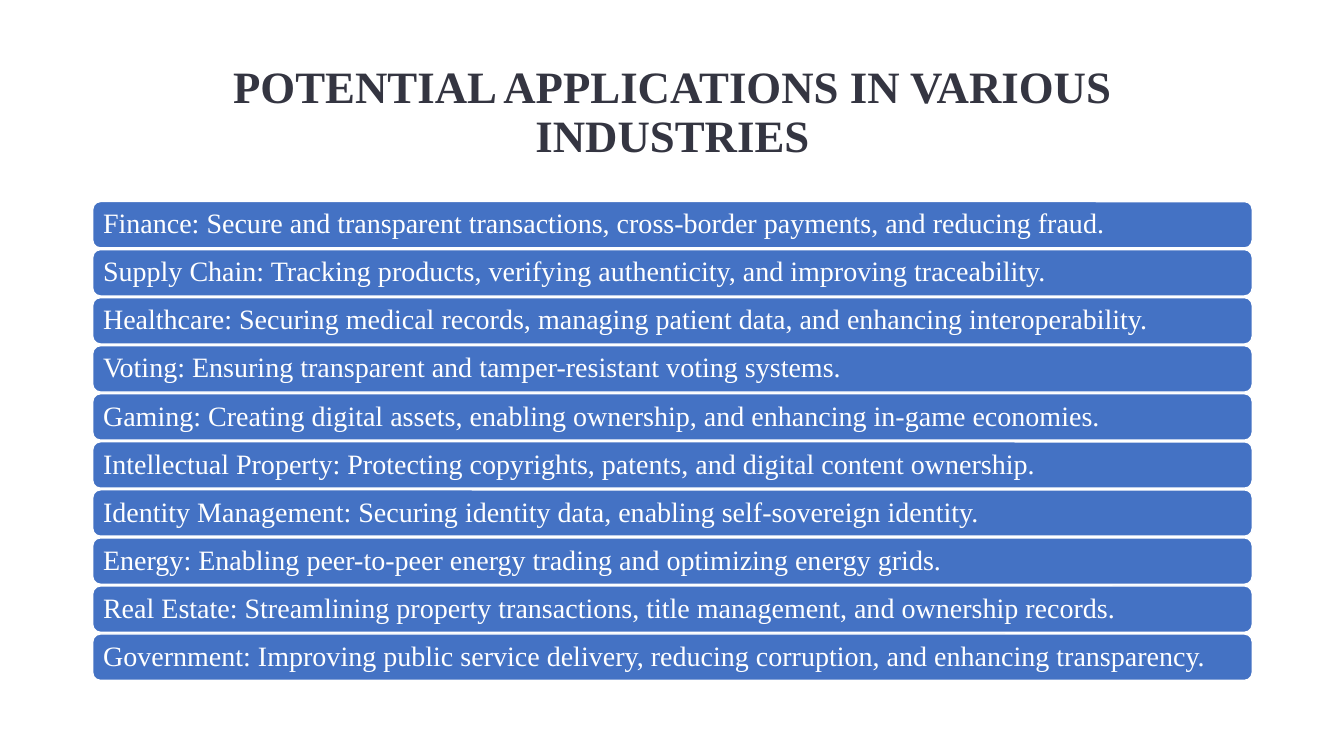
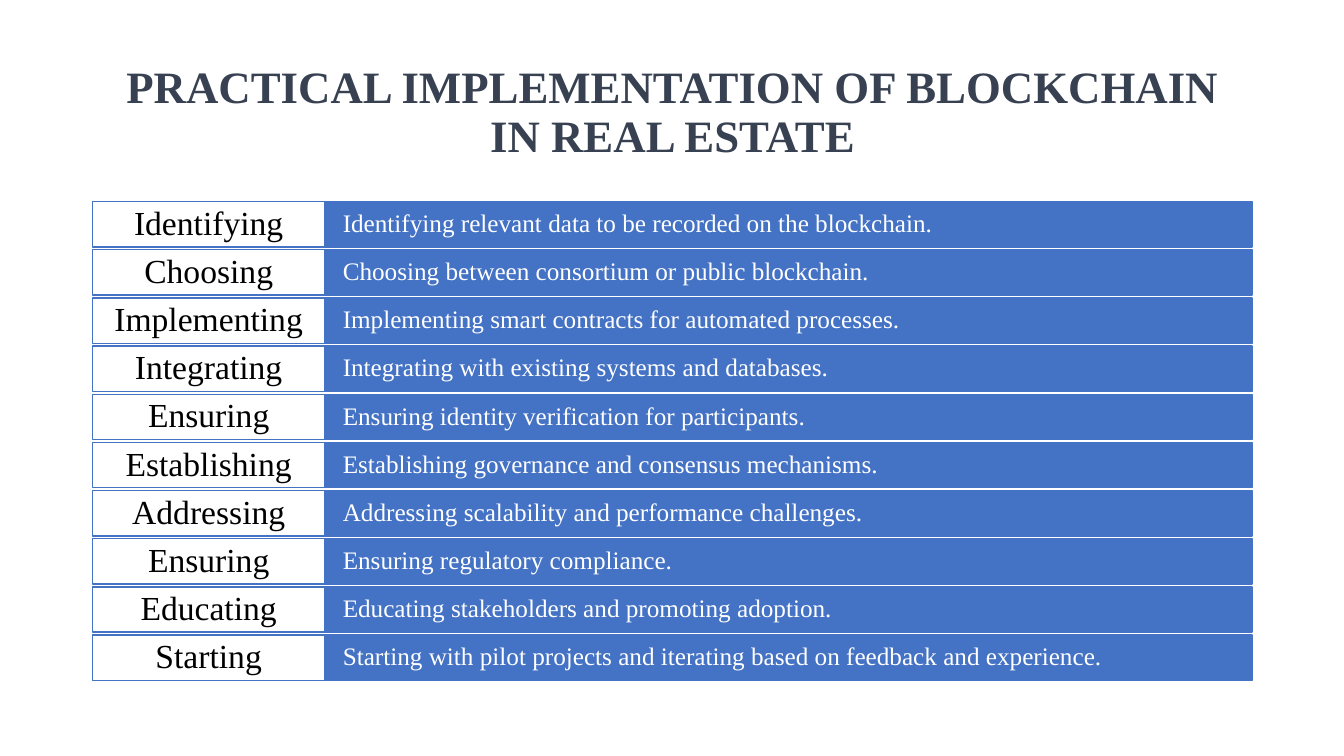
from dataclasses import dataclass
from typing import Iterator

from pptx import Presentation
from pptx.dml.color import RGBColor
from pptx.enum.shapes import MSO_SHAPE as Preset
from pptx.enum.text import MSO_ANCHOR as Anchor, MSO_AUTO_SIZE as AutoSize, PP_ALIGN as Align
from pptx.slide import Slide
from pptx.text.text import TextFrame
from pptx.util import Inches, Pt

# Shared look
BLUE = RGBColor(0x44, 0x72, 0xC4)
WHITE = RGBColor(0xFF, 0xFF, 0xFF)
BLACK = RGBColor(0x00, 0x00, 0x00)
CHARCOAL = RGBColor(0x34, 0x35, 0x41)
SLATE = RGBColor(0x37, 0x41, 0x51)
FONT = "Times New Roman"
TITLE_ONLY = 5

# Shared grid, in inches
LEFT, WIDTH = 0.92, 11.5
ROWS_TOP, ROWS_BOTTOM = 2.0, 6.75
LABEL_WIDTH = 2.3

APPLICATIONS_TITLE = "POTENTIAL APPLICATIONS IN VARIOUS INDUSTRIES"
APPLICATIONS = [
    "Finance: Secure and transparent transactions, cross-border payments, and reducing fraud.",
    "Supply Chain: Tracking products, verifying authenticity, and improving traceability.",
    "Healthcare: Securing medical records, managing patient data, and enhancing interoperability.",
    "Voting: Ensuring transparent and tamper-resistant voting systems.",
    "Gaming: Creating digital assets, enabling ownership, and enhancing in-game economies.",
    "Intellectual Property: Protecting copyrights, patents, and digital content ownership.",
    "Identity Management: Securing identity data, enabling self-sovereign identity.",
    "Energy: Enabling peer-to-peer energy trading and optimizing energy grids.",
    "Real Estate: Streamlining property transactions, title management, and ownership records.",
    "Government: Improving public service delivery, reducing corruption, and enhancing transparency.",
]

STEPS_TITLE = "PRACTICAL IMPLEMENTATION OF BLOCKCHAIN IN REAL ESTATE"
STEPS = [
    "Identifying relevant data to be recorded on the blockchain.",
    "Choosing between consortium or public blockchain.",
    "Implementing smart contracts for automated processes.",
    "Integrating with existing systems and databases.",
    "Ensuring identity verification for participants.",
    "Establishing governance and consensus mechanisms.",
    "Addressing scalability and performance challenges.",
    "Ensuring regulatory compliance.",
    "Educating stakeholders and promoting adoption.",
    "Starting with pilot projects and iterating based on feedback and experience.",
]


@dataclass(frozen=True)
class BarStyle:
    """Look of one column of bars; lengths in inches, size in points."""
    left: float
    width: float
    height: float
    fill: RGBColor
    line: RGBColor
    ink: RGBColor
    size: int
    inset_x: float
    inset_y: float
    align: Align = Align.LEFT
    preset: Preset = Preset.RECTANGLE


APPLICATION_BAR = BarStyle(LEFT, WIDTH, 0.46, BLUE, WHITE, WHITE, 20, 0.08, 0.08,
                           preset=Preset.ROUNDED_RECTANGLE)
STEP_BAR = BarStyle(LEFT + LABEL_WIDTH, WIDTH - LABEL_WIDTH, 0.45, BLUE, BLUE, WHITE,
                    18, 0.18, 0.11)
LABEL_BAR = BarStyle(LEFT, LABEL_WIDTH, 0.45, WHITE, BLUE, BLACK, 24, 0.12, 0.04,
                     align=Align.CENTER)


def apply(target: object, values: dict) -> None:
    for name, value in values.items():
        setattr(target, name, value)


def write_text(frame: TextFrame, text: str, size: int, ink: RGBColor,
               align: Align, bold: bool = False) -> None:
    apply(frame, {"text": text, "word_wrap": True, "auto_size": AutoSize.NONE,
                  "vertical_anchor": Anchor.MIDDLE})
    paragraph = frame.paragraphs[0]
    apply(paragraph, {"alignment": align, "line_spacing": 0.9})
    font = paragraph.runs[0].font
    apply(font, {"name": FONT, "size": Pt(size), "bold": bold})
    font.color.rgb = ink


def add_titled_slide(deck: Presentation, title: str, ink: RGBColor) -> Slide:
    slide = deck.slides.add_slide(deck.slide_layouts[TITLE_ONLY])
    heading = slide.shapes.title
    apply(heading, {"left": Inches(LEFT), "top": Inches(0.4),
                    "width": Inches(WIDTH), "height": Inches(1.45)})
    write_text(heading.text_frame, title, 32, ink, Align.CENTER, bold=True)
    return slide


def add_bar(slide: Slide, style: BarStyle, top: float, text: str) -> None:
    bar = slide.shapes.add_shape(style.preset, Inches(style.left), Inches(top),
                                 Inches(style.width), Inches(style.height))
    bar.shadow.inherit = False
    bar.fill.solid()
    bar.fill.fore_color.rgb = style.fill
    bar.line.color.rgb = style.line
    bar.line.width = Pt(1)
    side, edge = Inches(style.inset_x), Inches(style.inset_y)
    apply(bar.text_frame, {"margin_left": side, "margin_right": side,
                           "margin_top": edge, "margin_bottom": edge})
    write_text(bar.text_frame, text, style.size, style.ink, style.align)


def spread(texts: list[str], height: float) -> Iterator[tuple[float, str]]:
    """Pair each text with the top of its row, evenly spaced over the grid."""
    pitch = (ROWS_BOTTOM - ROWS_TOP - height) / (len(texts) - 1)
    for row, text in enumerate(texts):
        yield ROWS_TOP + row * pitch, text


def main() -> None:
    deck = Presentation()
    apply(deck, {"slide_width": Inches(13.33), "slide_height": Inches(7.5)})

    # Applications: one rounded bar per industry
    applications = add_titled_slide(deck, APPLICATIONS_TITLE, CHARCOAL)
    for top, application in spread(APPLICATIONS, APPLICATION_BAR.height):
        add_bar(applications, APPLICATION_BAR, top, application)

    # Implementation: each step is labelled with its first word
    implementation = add_titled_slide(deck, STEPS_TITLE, SLATE)
    for top, step in spread(STEPS, STEP_BAR.height):
        add_bar(implementation, STEP_BAR, top, step)
        add_bar(implementation, LABEL_BAR, top, step.split()[0])

    deck.save("out.pptx")


if __name__ == "__main__":
    main()
